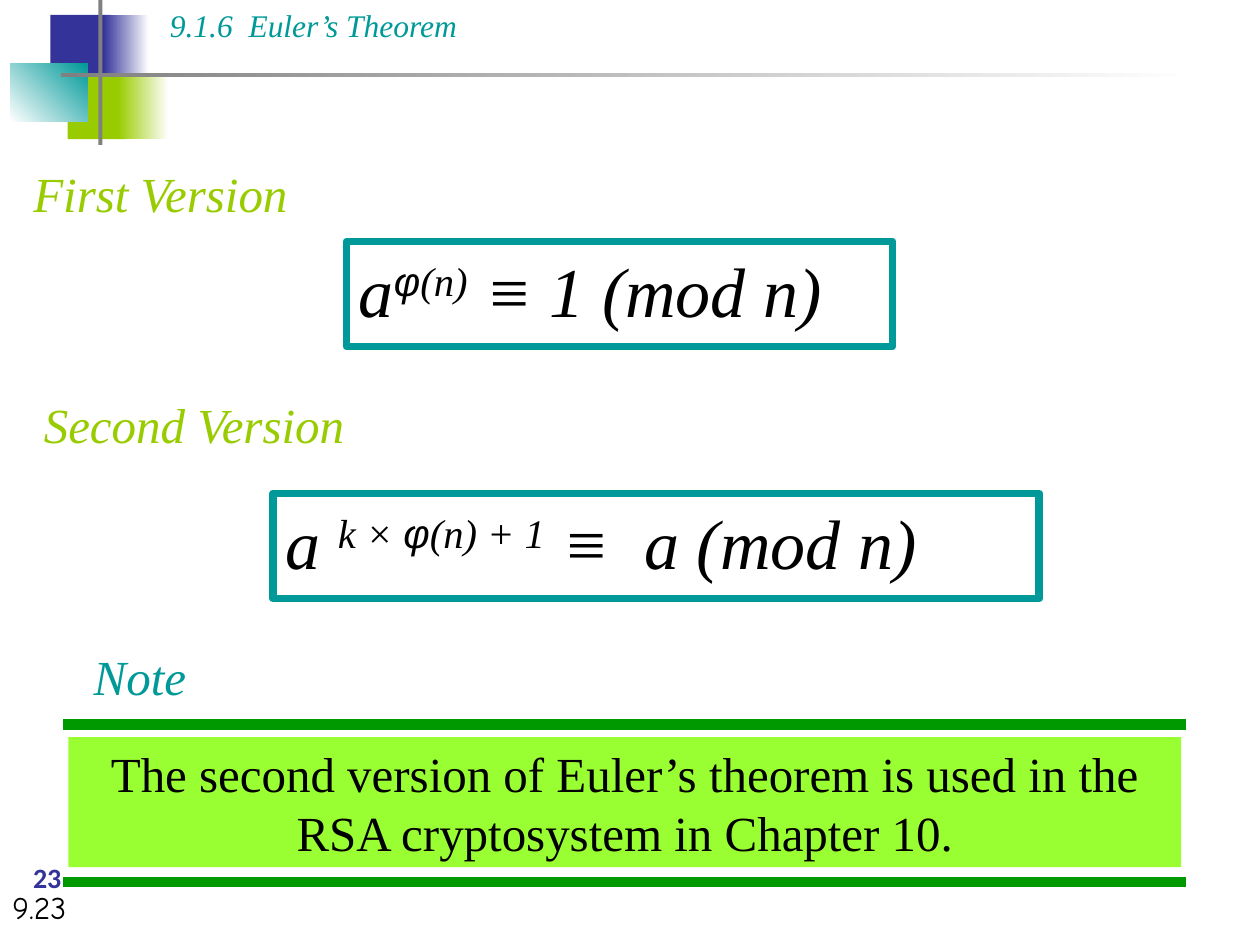
from pptx import Presentation
from pptx.dml.color import RGBColor
from pptx.enum.shapes import MSO_CONNECTOR as Link, MSO_SHAPE as Form
from pptx.enum.text import MSO_ANCHOR as Anchor, PP_ALIGN as Align
from pptx.oxml.ns import qn
from pptx.util import Pt
from lxml.etree import SubElement

SERIF = "Times New Roman"
TEAL, LIME, NAVY, GRAY = "009999", "99CC00", "333399", "808080"
WHITE, BLACK = "FFFFFF", "000000"


def color(code):
    """Turn a hex string into a colour."""
    return RGBColor.from_string(code)


def block(slide, box, fill, line=None, width=0, form=Form.RECTANGLE):
    """Add a flat shape with an optional outline."""
    shape = slide.shapes.add_shape(form, *map(Pt, box))
    shape.shadow.inherit = False
    shape.fill.solid()
    shape.fill.fore_color.rgb = color(fill)
    if line:
        shape.line.color.rgb = color(line)
        shape.line.width = Pt(width)
    else:
        shape.line.fill.background()
    return shape


def fade(slide, box, start, end, angle=0):
    """Add a rectangle that blends two colours."""
    fill = block(slide, box, start).fill
    fill.gradient()
    fill.gradient_angle = angle
    for stop, code in zip(fill.gradient_stops, (start, end)):
        stop.color.rgb = color(code)


def write(shape, runs, size, code, align=Align.LEFT, font=SERIF,
          italic=False, bold=False, anchor=Anchor.TOP, wrap=True):
    """Fill a shape with one paragraph of (text, raised) runs."""
    frame = shape.text_frame
    frame.word_wrap = wrap
    frame.vertical_anchor = anchor
    para = frame.paragraphs[0]
    para.alignment = align
    style = para.font
    style.name, style.size = font, Pt(size)
    style.italic, style.bold = italic, bold
    style.color.rgb = color(code)
    for text, raised in runs:
        run = para.add_run()
        run.text = text
        if text == "φ":
            run.font.name = "Arial"
        if raised:
            run._r.get_or_add_rPr().set("baseline", "30000")


def label(slide, box, text, size, code, **style):
    """Add a text box holding one run."""
    shape = slide.shapes.add_textbox(*map(Pt, box))
    write(shape, [(text, False)], size, code, **style)


def footer(slide, x, y):
    """Place the page badge and the chapter page number."""
    badge = block(slide, (x, y, 54, 24), WHITE, WHITE, 2, Form.OVAL)
    frame = badge.text_frame
    frame.margin_left = frame.margin_right = 0
    frame.margin_top = frame.margin_bottom = 0
    write(badge, [("23", False)], 16, NAVY, Align.CENTER, "Calibri",
          bold=True, anchor=Anchor.MIDDLE)
    label(slide, (x, y + 14.4, 150, 36), "9.23", 18, BLACK,
          font="Comic Neue")


def header(slide, x, y):
    """Place the coloured blocks, the rules and the section title."""
    block(slide, (x + 28.8, y + 8.5, 34.5, 37.5), NAVY)
    fade(slide, (x + 59, y + 8.5, 26, 37.5), NAVY, WHITE)
    block(slide, (x + 38.7, y + 42, 33, 37.5), LIME)
    fade(slide, (x + 67.5, y + 42, 28.8, 37.5), LIME, WHITE)
    fade(slide, (x + 5.8, y + 36, 44, 33.3), WHITE, TEAL, 45)
    block(slide, (x + 56.2, y, 2.3, 82.8), GRAY)
    fade(slide, (x + 34.6, y + 41.7, 648, 2.5), GRAY, WHITE)
    label(slide, (x + 90, y, 320, 45), "9.1.6  Euler’s Theorem", 18, TEAL,
          italic=True, wrap=False)


def version(slide, x, y, title, box, runs):
    """Place a version title and its framed formula."""
    head = block(slide, (x, y, 684, 41), WHITE)
    write(head, [(title, False)], 28, LIME, Align.JUSTIFY, italic=True)
    left, top, width = box
    frame = block(slide, (x + left, y + top, width, 60), WHITE, TEAL, 4.5)
    write(frame, runs, 40, BLACK, Align.JUSTIFY, italic=True)


def note(slide, x, y, width):
    """Place the note between two green rules."""
    for top in (y + 48, y + 138):
        rule = slide.shapes.add_connector(
            Link.STRAIGHT, Pt(x), Pt(top), Pt(x + width), Pt(top))
        rule.line.color.rgb = color("009900")
        rule.line.width = Pt(6)
        SubElement(rule._element.spPr, qn("a:effectLst"))
    body = block(slide, (x + 3, y + 55.3, width - 6, 74.2), "99FF33")
    text = ("The second version of Euler’s theorem is used in the "
            "RSA cryptosystem in Chapter 10.")
    write(body, [(text, False)], 28, BLACK, Align.CENTER)
    label(slide, (x + 10.5, y, 69, 41), "Note", 28, TEAL,
          italic=True, wrap=False)


def main():
    """Build and save the slide."""
    deck = Presentation()
    deck.slide_width, deck.slide_height = Pt(720), Pt(540)
    slide = deck.slides.add_slide(deck.slide_layouts[6])
    footer(slide, 0, 489.6)
    header(slide, 0, 0)
    version(slide, 12, 90, "First Version", (186, 48, 312),
            [("a", False), ("φ", True), ("(n)", True),
             (" ≡ 1 (mod n)", False)])
    version(slide, 18, 222, "Second Version", (138, 60, 438),
            [("a ", False), ("k × ", True), ("φ", True),
             ("(n) + 1", True), (" ≡  a (mod n)", False)])
    note(slide, 36, 366, 642)
    deck.save("out.pptx")


if __name__ == "__main__":
    main()
